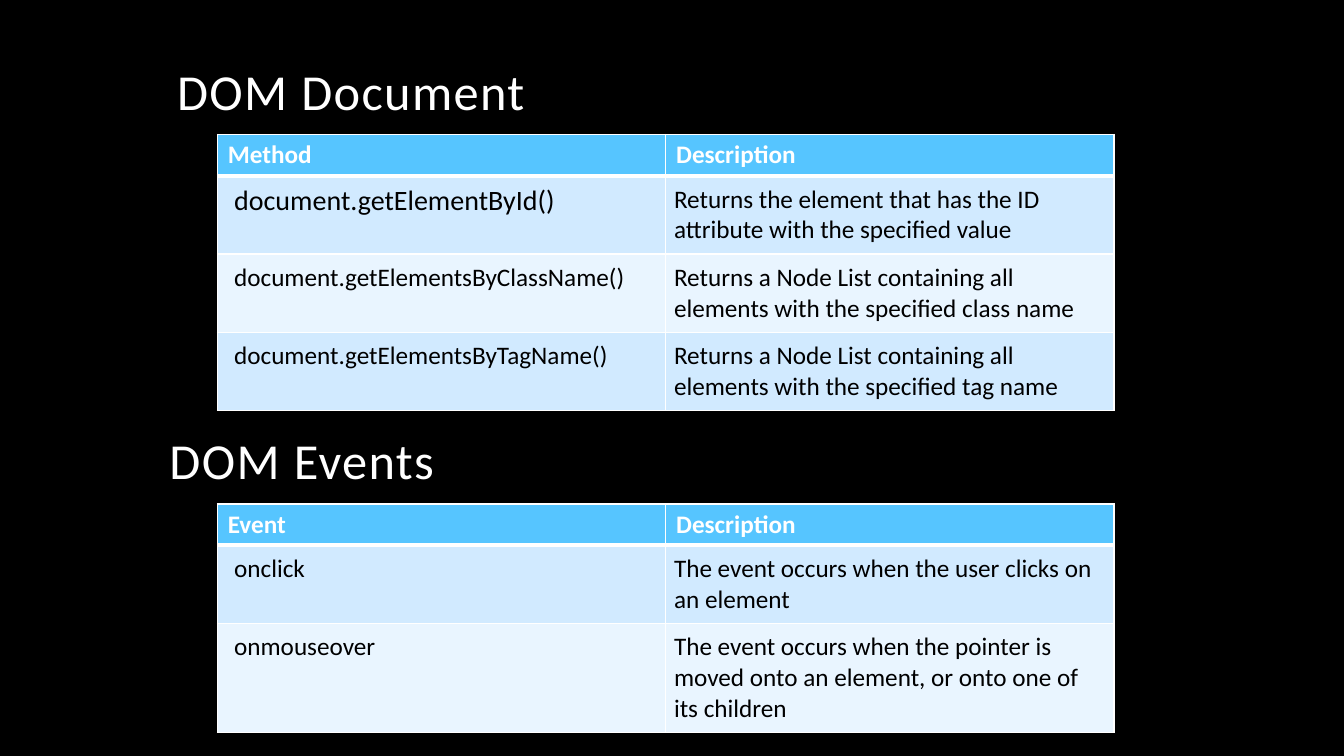
import pptx
import pptx.dml.color
import pptx.enum.text
import pptx.oxml
import pptx.oxml.ns
import pptx.util
from dataclasses import dataclass


@dataclass(frozen=True)
class Theme:
    """Colours, font and type sizes of the slide."""
    back: str = "000000"
    light: str = "FFFFFF"
    dark: str = "000000"
    head: str = "56C5FF"
    bands: tuple = ("D1EAFF", "E9F5FF")
    font: str = "Calibri"
    title: int = 36
    large: int = 20
    text: int = 18


THEME = Theme()
PX = 9525
METHODS = [
    ("Method", "Description"),
    ("document.getElementById()",
     "Returns the element that has the ID attribute with the specified value"),
    ("document.getElementsByClassName()",
     "Returns a Node List containing all elements with the specified class name"),
    ("document.getElementsByTagName()",
     "Returns a Node List containing all elements with the specified tag name"),
]
EVENTS = [
    ("Event", "Description"),
    ("onclick", "The event occurs when the user clicks on an element"),
    ("onmouseover",
     "The event occurs when the pointer is moved onto an element, or onto one of its children"),
]


def scale(box):
    """Turn px lengths into EMU."""
    return [pptx.util.Emu(n * PX) for n in box]


def paint(fill, color):
    """Give a fill one solid colour."""
    fill.solid()
    fill.fore_color.rgb = pptx.dml.color.RGBColor.from_string(color)


def write(par, text, size, color, bold=False):
    """Add one styled run to a paragraph."""
    run = par.add_run()
    run.text = text
    run.font.name = THEME.font
    run.font.size = pptx.util.Pt(size)
    run.font.bold = bold
    run.font.color.rgb = pptx.dml.color.RGBColor.from_string(color)
    return run


def heading(shape, box, text):
    """Place a heading in its box, set on the bottom edge."""
    shape.left, shape.top, shape.width, shape.height = scale(box)
    frame = shape.text_frame
    frame.word_wrap = True
    frame.auto_size = pptx.enum.text.MSO_AUTO_SIZE.NONE
    frame.vertical_anchor = pptx.enum.text.MSO_ANCHOR.BOTTOM
    par = frame.paragraphs[0]
    par.alignment = pptx.enum.text.PP_ALIGN.LEFT
    par.line_spacing = 0.9
    run = write(par, text, THEME.title, THEME.light)
    run.font._element.set("spc", "100")


def border(cell, widths):
    """Draw the left, right, top and bottom lines of a cell."""
    props = cell._tc.get_or_add_tcPr()
    for spot, (side, width) in enumerate(zip("LRTB", widths)):
        line = pptx.oxml.parse_xml(
            f'<a:ln{side} {pptx.oxml.ns.nsdecls("a")} w="{pptx.util.Pt(width)}">'
            f'<a:solidFill><a:srgbClr val="{THEME.light}"/></a:solidFill></a:ln{side}>')
        props.insert(spot, line)


def fill_cell(cell, text, row, col):
    """Style one cell by its row and column."""
    head = row == 0
    pads = (10, 5, 10, 5) if head else (8 if col else 16, 8, 8, 8)
    (cell.margin_left, cell.margin_top,
     cell.margin_right, cell.margin_bottom) = scale(pads)
    paint(cell.fill, THEME.head if head else THEME.bands[(row - 1) % 2])
    border(cell, (1, 1, 3 if row == 1 else 1, 3 if head else 1))
    size = THEME.large if text == METHODS[1][0] else THEME.text
    write(cell.text_frame.paragraphs[0], text, size,
          THEME.light if head else THEME.dark, head)


def grid(slide, box, rows, highs):
    """Build a two-column table in its box."""
    table = slide.shapes.add_table(len(rows), 2, *scale(box)).table
    for col in table.columns:
        col.width = pptx.util.Emu(box[2] * PX // 2)
    for row, (texts, high) in enumerate(zip(rows, highs)):
        table.rows[row].height = pptx.util.Emu(high * PX)
        for col, text in enumerate(texts):
            fill_cell(table.cell(row, col), text, row, col)


def panel(slide, shape, box, shift, text, rows, highs):
    """Place a heading and the table below it."""
    left, top, width = box
    heading(shape, (left + shift, top, 960, 80), text)
    grid(slide, (left, top + 88, width, sum(highs)), rows, highs)


def main():
    """Build and save the slide."""
    deck = pptx.Presentation()
    deck.slide_width, deck.slide_height = scale((1280, 720))
    slide = deck.slides.add_slide(deck.slide_layouts.get_by_name("Title Only"))
    paint(slide.background.fill, THEME.back)
    panel(slide, slide.shapes.title, (207, 40, 854), -48,
          "DOM Document", METHODS, (39, 74, 74, 74))
    note = slide.shapes.add_textbox(0, 0, 0, 0)
    panel(slide, note, (207, 392, 854), -55,
          "DOM Events", EVENTS, (39, 74, 103))
    deck.save("out.pptx")


if __name__ == "__main__":
    main()
